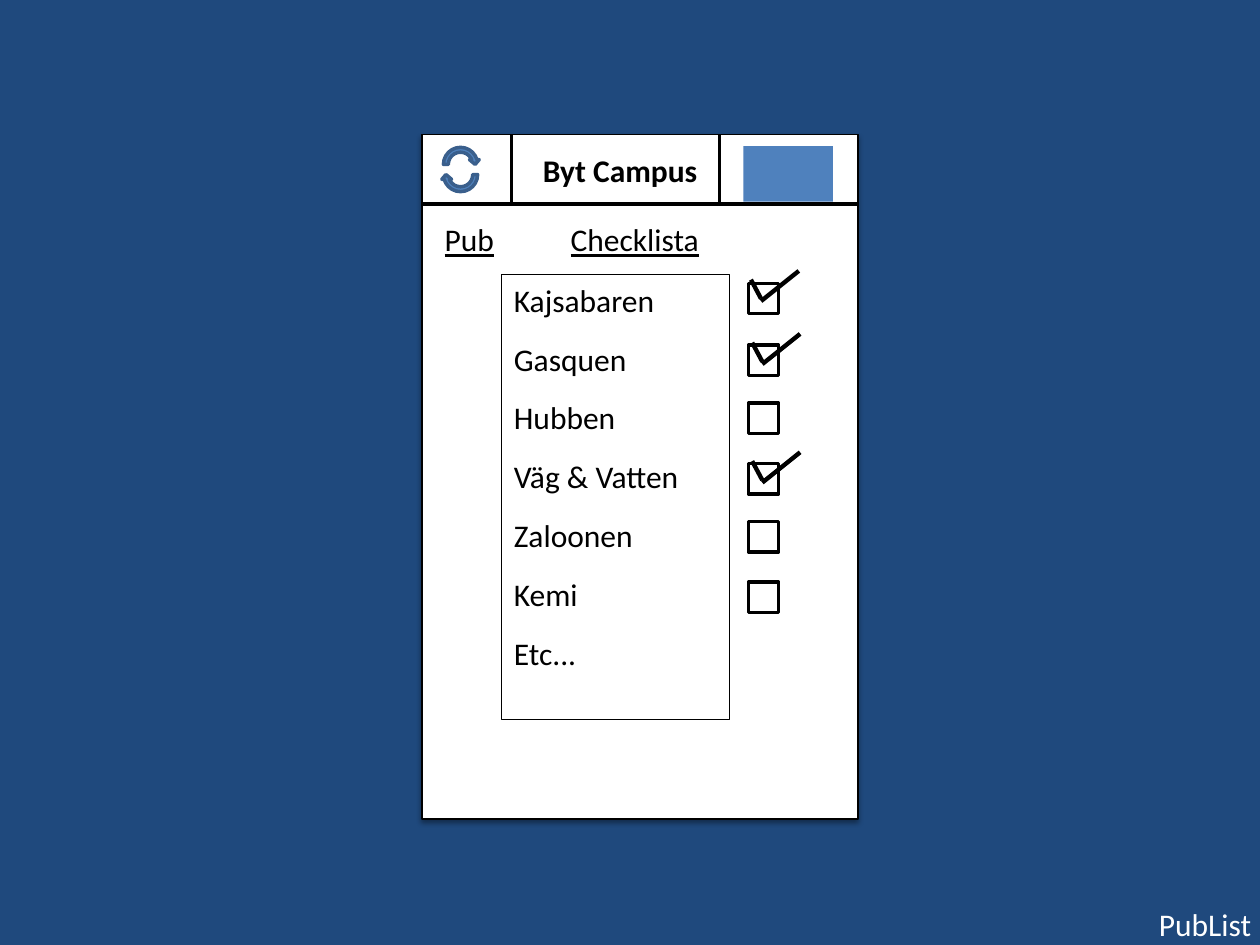
from pptx import Presentation
from pptx.dml.color import RGBColor
from pptx.enum.shapes import MSO_CONNECTOR as CONN, MSO_SHAPE as SHAPE
from pptx.enum.text import MSO_ANCHOR as ANCHOR, PP_ALIGN as ALIGN
from pptx.oxml import parse_xml
from pptx.oxml.ns import nsdecls
from pptx.util import Inches, Pt

BLACK, WHITE, NAVY, BLUE, DARK_BLUE = "000000", "FFFFFF", "1F497D", "4F81BD", "3A5F8C"
PUBS = ["Kajsabaren", "Gasquen", "Hubben", "Väg & Vatten", "Zaloonen", "Kemi", "Etc..."]
BOX_TOPS = [2.25, 2.74, 3.2, 3.68, 4.14, 4.62]
CHECKS = [(5.96, 2.22), (5.97, 3.66), (5.97, 2.72)]
SHADOW = (
    f'<a:effectLst {nsdecls("a")}><a:outerShdw blurRad="39370" dist="20320" dir="5400000" '
    'rotWithShape="0"><a:srgbClr val="000000"><a:alpha val="38000"/></a:srgbClr>'
    "</a:outerShdw></a:effectLst>"
)


def rgb(value):
    return RGBColor.from_string(value)


def write(tf, lines, color=BLACK, bold=None, underline=None, before=0, wrap=True):
    tf.word_wrap = wrap
    tf.vertical_anchor = ANCHOR.TOP
    for i, line in enumerate(lines):
        p = tf.paragraphs[0] if i == 0 else tf.add_paragraph()
        p.alignment = ALIGN.LEFT
        if i and before:
            p.space_before = Pt(before)
        r = p.add_run()
        r.text = line
        font = r.font
        font.name, font.size = "Calibri", Pt(18)
        font.bold, font.underline = bold, underline
        font.color.rgb = rgb(color)


class Builder:
    def __init__(self, slide):
        self.slide = slide

    def background(self, color):
        fill = self.slide.background.fill
        fill.solid()
        fill.fore_color.rgb = rgb(color)

    def shape(self, kind, x, y, w, h, fill=None, line=None, width=2, rotation=0):
        sp = self.slide.shapes.add_shape(kind, Inches(x), Inches(y), Inches(w), Inches(h))
        sp.shadow.inherit = False
        sp.rotation = rotation
        if fill:
            sp.fill.solid()
            sp.fill.fore_color.rgb = rgb(fill)
        else:
            sp.fill.background()
        if line:
            sp.line.color.rgb = rgb(line)
            sp.line.width = Pt(width)
        else:
            sp.line.fill.background()
        return sp

    def card(self, x, y, w, h):
        sp = self.shape(SHAPE.RECTANGLE, x, y, w, h, WHITE, BLACK, 0.75)
        sp_pr = sp._element.spPr
        sp_pr.remove(sp_pr.find("{*}effectLst"))
        sp_pr.append(parse_xml(SHADOW))

    def text(self, x, y, w, text, **style):
        s = self.slide.shapes.add_textbox(Inches(x), Inches(y), Inches(w), Inches(0.4))
        write(s.text_frame, [text], **style)

    def line(self, x1, y1, x2, y2, width):
        s = self.slide.shapes.add_connector(
            CONN.STRAIGHT, Inches(x1), Inches(y1), Inches(x2), Inches(y2))
        s.line.color.rgb = rgb(BLACK)
        s.line.width = Pt(width)
        s._element.spPr.append(parse_xml(f'<a:effectLst {nsdecls("a")}/>'))

    def check(self, x, y):
        self.line(x, y, x + 0.08, y + 0.15, 2.5)
        self.line(x + 0.08, y + 0.17, x + 0.38, y - 0.07, 2.5)


def main():
    prs = Presentation()
    prs.slide_width, prs.slide_height = Inches(10), Inches(7.5)
    b = Builder(prs.slides.add_slide(prs.slide_layouts[6]))
    b.background(NAVY)
    b.card(3.35, 1.07, 3.46, 5.43)
    b.text(9.1, 7.13, 0.94, "PubList", color=WHITE, wrap=False)

    b.line(3.35, 1.62, 6.81, 1.62, 2)
    for x in (4.06, 5.71):
        b.line(x, 1.07, x, 1.62, 1.5)
    b.text(4.21, 1.15, 1.57, "Byt Campus", bold=True)
    for y, rotation in ((1.23, 180), (1.15, 0)):
        b.shape(SHAPE.CIRCULAR_ARROW, 3.5, y, 0.31, 0.31, BLUE, DARK_BLUE, rotation=rotation)
    b.shape(SHAPE.RECTANGLE, 5.9, 1.16, 0.71, 0.44, BLUE)

    b.text(3.43, 1.7, 3.31, "Pub\t\tChecklista", underline=True)
    for y in BOX_TOPS:
        b.shape(SHAPE.RECTANGLE, 5.94, y, 0.24, 0.24, WHITE, BLACK)
    for x, y in CHECKS:
        b.check(x, y)
    pub_list = b.shape(SHAPE.RECTANGLE, 3.98, 2.18, 1.81, 3.53, line=BLACK, width=0)
    write(pub_list.text_frame, PUBS, before=12)

    prs.save("out.pptx")


if __name__ == "__main__":
    main()
